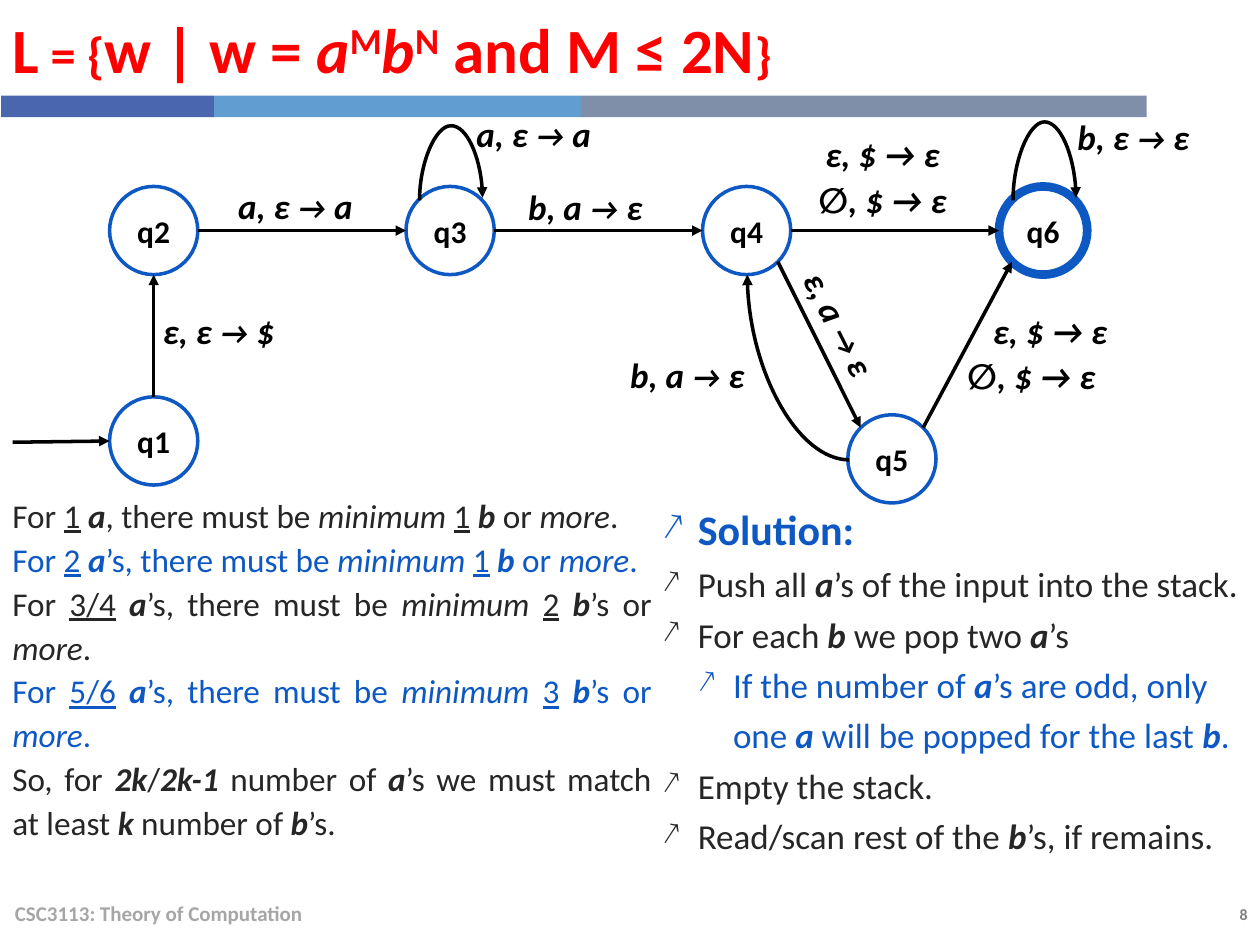
from dataclasses import dataclass
from math import cos, radians, sin
from typing import NamedTuple

from lxml.etree import SubElement
from pptx import Presentation
from pptx.dml.color import RGBColor
from pptx.enum.shapes import MSO_CONNECTOR, MSO_SHAPE
from pptx.enum.text import MSO_ANCHOR, MSO_AUTO_SIZE, PP_ALIGN
from pptx.oxml.ns import qn
from pptx.util import Inches, Pt

BLUE, DARK, BLACK, WHITE = "0E58C4", "262626", "000000", "FFFFFF"
DIAMETER = 0.7
FIRST_COLUMN, COLUMN_STEP = 1.22, 2.353
FIRST_ROW, ROW_STEP = 1.83, 1.67
BAR_TOP, BAR_HEIGHT = 0.76, 0.17
# Inline marks that switch a run style on and off
MARKS = "*~_^#`"  # bold italic, italic, underline, superscript, small caps, smaller


class Box(NamedTuple):
    left: float
    top: float
    width: float
    height: float


@dataclass
class State:
    name: str
    column: float
    row: float
    outline: float = 2

    def centre(self) -> tuple[float, float]:
        return FIRST_COLUMN + self.column * COLUMN_STEP, FIRST_ROW + self.row * ROW_STEP

    def rim(self, angle: float) -> tuple[float, float]:
        """Point on the circle, in degrees clockwise from the right."""
        x, y = self.centre()
        turn = radians(angle)
        return x + DIAMETER / 2 * cos(turn), y + DIAMETER / 2 * sin(turn)


class Transition(NamedTuple):
    source: str
    leave: float
    target: str
    arrive: float


class Curve(NamedTuple):
    preset: str
    box: Box
    turn: int
    flips: str
    arrow: str
    bend: float = 0


class Label(NamedTuple):
    text: str
    left: float
    top: float
    turn: float = 0


class Line(NamedTuple):
    text: str
    colour: str = DARK
    size: float = 20
    level: int = 0
    bold: bool = False


STATES = [State("q1", 0, 1), State("q2", 0, 0), State("q3", 1, 0),
          State("q5", 2.49, 1.085), State("q4", 2, 0), State("q6", 3, 0, 5)]
TRANSITIONS = [Transition("q1", 270, "q2", 90), Transition("q2", 0, "q3", 180),
               Transition("q3", 0, "q4", 180), Transition("q4", 0, "q6", 180),
               Transition("q5", 315, "q6", 135), Transition("q4", 45, "q5", 225)]
CURVES = [Curve("curvedConnector2", Box(5.6, 2.51, 1.47, 0.81), 270, "H", "headEnd"),
          Curve("curvedConnector3", Box(3.57, 1.33, 0.02, 0.5), 90, "HV", "tailEnd", 29.5),
          Curve("curvedConnector3", Box(8.28, 1.33, 0.02, 0.5), 90, "HV", "tailEnd", 31)]
LABELS = [Label("a, ε `→` a", 1.63, 1.39), Label("b, a `→` ε", 3.93, 1.4),
          Label("ε, a `→` ε", 5.95, 2.33, 63.2), Label("a, ε `→` a", 3.52, 0.82),
          Label("b, ε `→` ε", 8.28, 0.84), Label("b, a `→` ε", 4.74, 2.73),
          Label("ε, ε `→` $", 1.02, 2.38), Label("ε, $ → ε", 6.29, 0.98),
          Label("∅, $ → ε", 6.29, 1.34), Label("ε, $ → ε", 7.62, 2.38),
          Label("∅, $ → ε", 7.47, 2.74)]
MINIMUMS = [("1", "", "1", ""), ("2", "’s", "1", ""), ("3/4", "’s", "2", "’s"),
            ("5/6", "’s", "3", "’s")]
REASONING = [
    Line(f"For _{a}_ *a*{many_a}, there must be ~minimum ~_{b}_ *b*{many_b} or ~more~.",
         BLUE if index % 2 else DARK, 19)
    for index, (a, many_a, b, many_b) in enumerate(MINIMUMS)
] + [Line("So, for *2k*/*2k-1* number of *a*’s we must match at least *k* number of *b*’s.",
          DARK, 19)]
SOLUTION = [Line("Solution:", BLUE, 24, bold=True),
            Line("Push all *a*’s of the input into the stack."),
            Line("For each *b* we pop two *a*’s"),
            Line("If the number of *a*’s are odd, only one *a* will be popped "
                 "for the last *b*.", BLUE, level=1),
            Line("Empty the stack."),
            Line("Read/scan rest of the *b*’s, if remains.")]


def rgb(colour: str) -> RGBColor:
    return RGBColor.from_string(colour)


def write(paragraph, line: Line) -> None:
    """Fill a paragraph with runs, cut at the inline marks."""
    pieces, active = [("", "")], ""
    for letter in line.text:
        if letter in MARKS:
            active = active.replace(letter, "") if letter in active else active + letter
            pieces.append(("", active))
        else:
            pieces[-1] = (pieces[-1][0] + letter, active)
    for text, marks in pieces:
        if not text:
            continue
        run = paragraph.add_run()
        run.text = text
        font = run.font
        font.name, font.color.rgb = "Calibri", rgb(line.colour)
        font.size = Pt(line.size - 2 if "`" in marks else line.size)
        font.bold = line.bold or "*" in marks
        font.italic = "*" in marks or "~" in marks
        font.underline = "_" in marks
        properties = run._r.get_or_add_rPr()
        if "^" in marks:
            properties.set("baseline", "30000")
        if "#" in marks:
            properties.set("cap", "small")


def add_text(slide, box: Box, lines: list[Line], align=PP_ALIGN.LEFT,
             anchor=MSO_ANCHOR.MIDDLE, spacing: float = 1, bullets: bool = False):
    holder = slide.shapes.add_textbox(*map(Inches, box))
    frame = holder.text_frame
    frame.word_wrap, frame.vertical_anchor = True, anchor
    for index, line in enumerate(lines):
        paragraph = frame.add_paragraph() if index else frame.paragraphs[0]
        paragraph.alignment, paragraph.line_spacing = align, spacing
        paragraph.level = line.level
        if bullets:
            properties = paragraph._p.get_or_add_pPr()
            properties.set("marL", str(Inches(0.28 * (line.level + 1))))
            properties.set("indent", str(Inches(-0.28)))
            SubElement(properties, qn("a:buSzPct"), val="90000")
            SubElement(properties, qn("a:buChar"), char="↗")
        write(paragraph, line)
    return holder


def add_filled(slide, preset, box: Box, fill: str):
    shape = slide.shapes.add_shape(preset, *map(Inches, box))
    shape.shadow.inherit = False
    shape.fill.solid()
    shape.fill.fore_color.rgb = rgb(fill)
    shape.line.fill.background()
    return shape


def add_state(slide, state: State) -> None:
    x, y = state.centre()
    box = Box(x - DIAMETER / 2, y - DIAMETER / 2, DIAMETER, DIAMETER)
    circle = add_filled(slide, MSO_SHAPE.OVAL, box, WHITE)
    circle.line.color.rgb, circle.line.width = rgb(BLUE), Pt(state.outline)
    frame = circle.text_frame
    frame.word_wrap, frame.vertical_anchor = False, MSO_ANCHOR.MIDDLE
    frame.paragraphs[0].alignment = PP_ALIGN.CENTER
    write(frame.paragraphs[0], Line(state.name, BLACK, 18, bold=True))


def add_arrow(slide, start, end, kind=MSO_CONNECTOR.STRAIGHT, arrow: str = "tailEnd"):
    connector = slide.shapes.add_connector(kind, *map(Inches, (*start, *end)))
    connector.line.color.rgb, connector.line.width = rgb(BLACK), Pt(2)
    properties = connector._element.spPr
    SubElement(properties.find(qn("a:ln")), qn(f"a:{arrow}"), type="triangle")
    SubElement(properties, qn("a:effectLst"))
    return connector


def add_curve(slide, curve: Curve) -> None:
    left, top, width, height = curve.box
    connector = add_arrow(slide, (left, top), (left + width, top + height),
                          MSO_CONNECTOR.CURVE, curve.arrow)
    properties = connector._element.spPr
    frame = properties.find(qn("a:xfrm"))
    frame.set("rot", str(curve.turn * 60000))
    for flip in curve.flips:
        frame.set(f"flip{flip}", "1")
    geometry = properties.find(qn("a:prstGeom"))
    geometry.set("prst", curve.preset)
    if curve.bend:
        SubElement(geometry.find(qn("a:avLst")), qn("a:gd"), name="adj1",
                   fmla=f"val {round(curve.bend * 100000)}")


def add_title(slide) -> None:
    title = slide.shapes.title
    title.left, title.top, title.width, title.height = map(Inches, (0, 0, 9.1, BAR_TOP))
    frame = title.text_frame
    frame.auto_size, frame.vertical_anchor = MSO_AUTO_SIZE.NONE, MSO_ANCHOR.MIDDLE
    heading = frame.paragraphs[0]
    heading.alignment, heading.space_before = PP_ALIGN.LEFT, Pt(6)
    write(heading, Line("#L = {#w | w = ~a~^M^~b~^N^ and M ≤ 2N#}#", "FF0000", 36, bold=True))


def main() -> None:
    deck = Presentation()
    deck.slide_width, deck.slide_height = Inches(10), Inches(7.5)
    slide = deck.slides.add_slide(deck.slide_layouts[5])
    add_title(slide)

    left = 0.01
    for width, colour in ((1.69, "4A66AC"), (2.91, "629DD1"), (4.49, "7F8FA9")):
        add_filled(slide, MSO_SHAPE.RECTANGLE, Box(left, BAR_TOP, width, BAR_HEIGHT), colour)
        left += width

    add_text(slide, Box(0, 3.85, 5.27, 3.29), REASONING, PP_ALIGN.JUSTIFY, MSO_ANCHOR.TOP, 1.1)
    states = {state.name: state for state in STATES}
    for state in STATES:
        add_state(slide, state)
    add_arrow(slide, (0.1, 3.51), states["q1"].rim(180))
    for source, leave, target, arrive in TRANSITIONS:
        add_arrow(slide, states[source].rim(leave), states[target].rim(arrive))
    for curve in CURVES:
        add_curve(slide, curve)
    for label in LABELS:
        caption = add_text(slide, Box(label.left, label.top, 1.43, 0.48),
                           [Line(f"*{label.text}*", BLACK)], PP_ALIGN.CENTER)
        caption.rotation = label.turn
    solution = add_text(slide, Box(5.16, 3.87, 4.77, 3.27), SOLUTION,
                        anchor=MSO_ANCHOR.TOP, spacing=1.2, bullets=True)
    solution.text_frame.margin_right = Inches(0.05)

    add_text(slide, Box(0.02, 7.05, 6.7, 0.4),
             [Line("CSC3113: Theory of Computation", "A6A6A6", 12, bold=True)])
    add_text(slide, Box(8.73, 7.13, 1.27, 0.25), [Line("8", "808080", 9, bold=True)],
             PP_ALIGN.RIGHT)
    deck.save("out.pptx")


if __name__ == "__main__":
    main()
